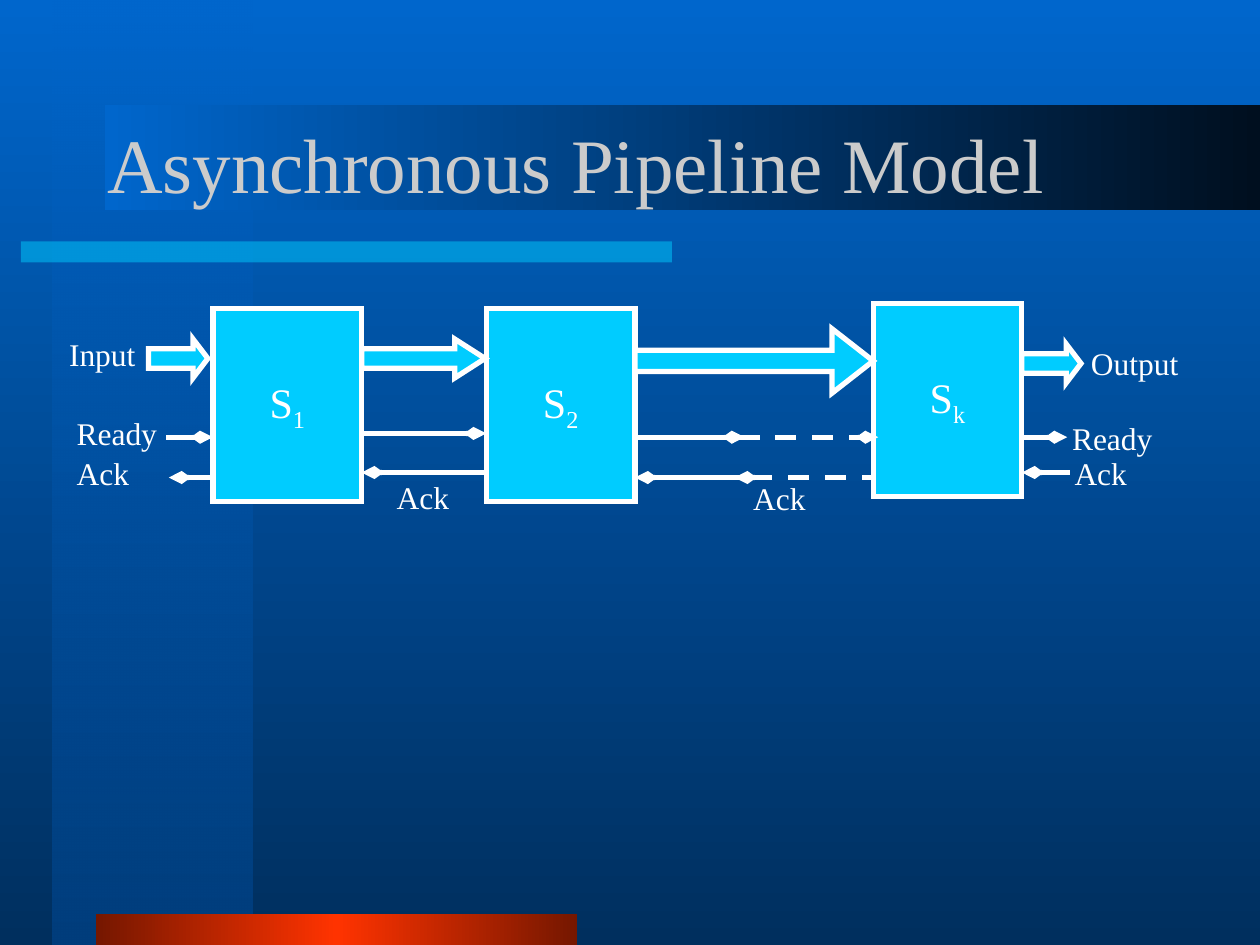
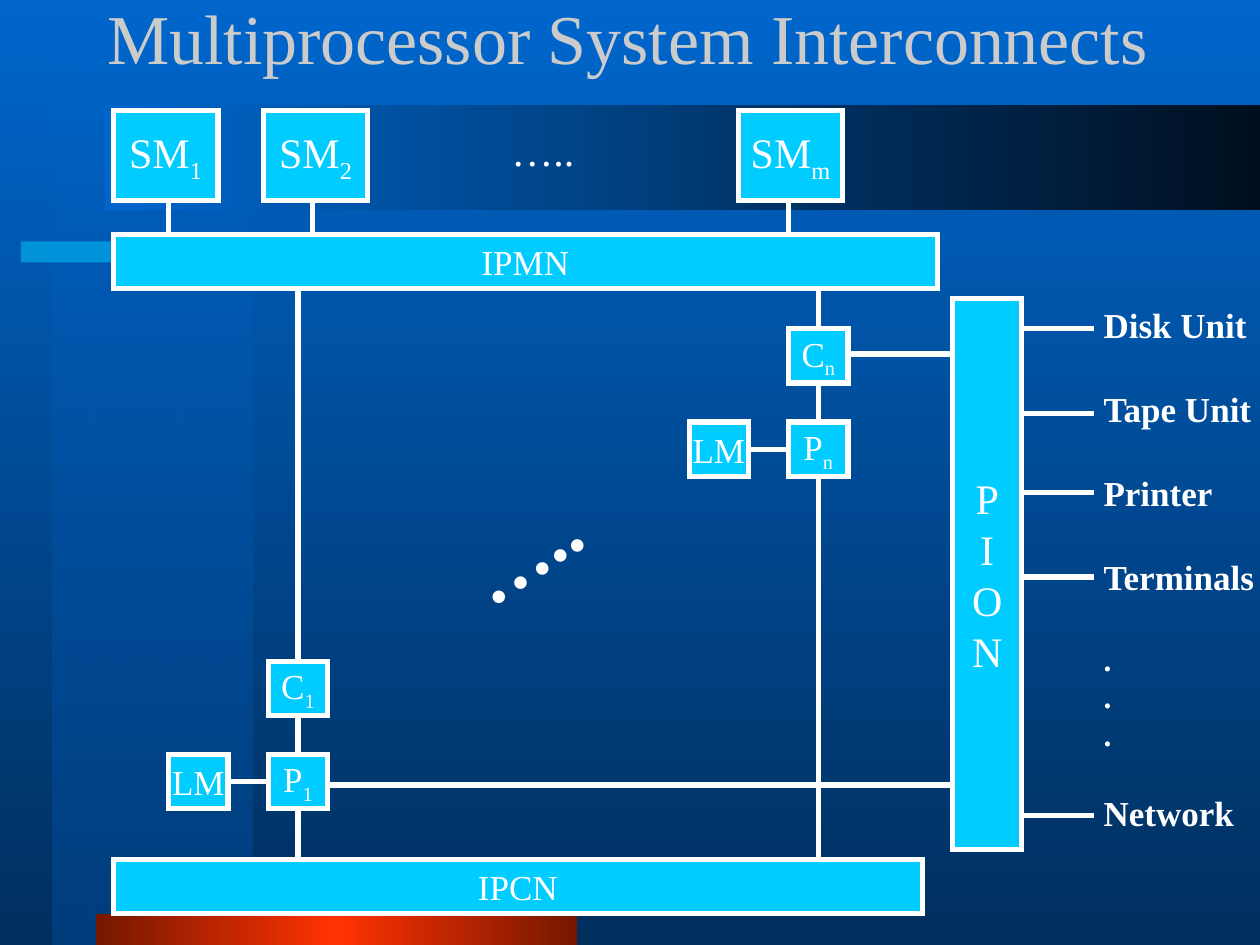
from dataclasses import dataclass
from typing import Any

from lxml import etree
from pptx import Presentation
from pptx import util as u
from pptx.dml.color import RGBColor
from pptx.enum import dml, shapes, text
from pptx.oxml import ns

COLORS = {
    "sky": "0066CC",
    "deep": "002F5E",
    "column": "003E7D",
    "night": "000F1F",
    "cyan": "00CCFF",
    "ember": "751700",
    "flame": "FF3300",
    "title": "CBCBCB",
    "white": "FFFFFF",
}
FONT = "Times New Roman"
SLIDE_W, SLIDE_H = u.Inches(10), u.Inches(7.5)
COLUMNS, ROWS = 100, 75
STROKE = u.Pt(3)


def col(n):
    return round(SLIDE_W * n / COLUMNS)


def row(n):
    return round(SLIDE_H * n / ROWS)


def rgb(name):
    return RGBColor.from_string(COLORS[name])


def sub(parent, tag, **attrs):
    return etree.SubElement(parent, ns.qn(tag), **attrs)


def add_run(p, words, size, color="white", bold=False, subscript=False):
    r = p.add_run()
    r.text = words
    r.font.name, r.font.size, r.font.bold = FONT, u.Pt(size), bold
    r.font.color.rgb = rgb(color)
    if subscript:
        r._r.get_or_add_rPr().set("baseline", "-25000")


def set_gradient(fill, element, stops, angle):
    fill.gradient()
    fill.gradient_angle = angle
    stop_list = next(element.iter(ns.qn("a:gsLst")))
    for old in list(stop_list):
        stop_list.remove(old)
    for position, color, alpha in stops:
        gs = sub(stop_list, "a:gs", pos=str(position * 1000))
        clr = sub(gs, "a:srgbClr", val=COLORS[color])
        if alpha < 100:
            sub(clr, "a:alpha", val=str(alpha * 1000))


def set_stroke(line, dashed=False):
    line.color.rgb = rgb("white")
    line.width = STROKE
    if dashed:
        line.dash_style = dml.MSO_LINE.DASH
    ln = line._get_or_add_ln()
    ln.set("cap", "sq")
    sub(ln, "a:miter", lim="800000")
    return ln


@dataclass
class Region:
    s: Any
    left: float
    top: float

    def shape(self, kind, x, y, w, h):
        sp = self.s.shapes.add_shape(
            kind, col(self.left + x), row(self.top + y), col(w), row(h))
        sp.shadow.inherit = False
        return sp

    def band(self, w, h):
        sp = self.shape(shapes.MSO_SHAPE.RECTANGLE, 0, 0, w, h)
        sp.line.fill.background()
        return sp

    def outlined(self, kind, x, y, w, h):
        sp = self.shape(kind, x, y, w, h)
        sp.fill.solid()
        sp.fill.fore_color.rgb = rgb("cyan")
        set_stroke(sp.line)
        return sp

    def block(self, x, y, w, h, name, index="", size=20):
        sp = self.outlined(shapes.MSO_SHAPE.RECTANGLE, x, y, w, h)
        tf = sp.text_frame
        tf.word_wrap = False
        tf.vertical_anchor = text.MSO_ANCHOR.MIDDLE
        p = tf.paragraphs[0]
        p.alignment = text.PP_ALIGN.CENTER
        if name:
            add_run(p, name, size)
        if index:
            add_run(p, index, size, subscript=True)
        return sp

    def bus_arrow(self, x, y, w, h, shaft, head):
        sp = self.outlined(shapes.MSO_SHAPE.RIGHT_ARROW, x, y, w, h)
        sp.adjustments[0], sp.adjustments[1] = shaft, head

    def wire(self, x1, y1, x2, y2, arrow=None, dashed=False):
        c = self.s.shapes.add_connector(
            shapes.MSO_CONNECTOR.STRAIGHT,
            col(self.left + x1), row(self.top + y1),
            col(self.left + x2), row(self.top + y2))
        ln = set_stroke(c.line, dashed)
        if arrow:
            sub(ln, arrow, type="arrow", w="sm", len="med")
        sub(c.element.spPr, "a:effectLst")

    def label(self, x, y, w, h, words="", size=18, bold=False):
        sp = self.s.shapes.add_textbox(
            col(self.left + x), row(self.top + y), col(w), row(h))
        tf = sp.text_frame
        tf.word_wrap = False
        tf.auto_size = text.MSO_AUTO_SIZE.SHAPE_TO_FIT_TEXT
        if words:
            add_run(tf.paragraphs[0], words, size, bold=bold)
        return sp


def decorate_master(prs, s):
    master = prs.slide_master
    set_gradient(master.background.fill, master.element,
                 [(0, "sky", 100), (100, "deep", 100)], 270)

    side = Region(s, 4.17, 0).band(15.83, ROWS)
    set_gradient(side.fill, side.element,
                 [(0, "sky", 50), (100, "column", 100)], 270)

    rule = Region(s, 1.67, 19.17).band(51.67, 1.67)
    rule.fill.solid()
    rule.fill.fore_color.rgb = rgb("cyan")
    sub(next(rule.element.spPr.iter(ns.qn("a:srgbClr"))), "a:alpha", val="50000")

    footer = Region(s, 7.6, 72.5).band(38.2, 2.5)
    set_gradient(footer.fill, footer.element,
                 [(0, "ember", 100), (50, "flame", 100), (100, "ember", 100)], 180)

    header = Region(s, 8.33, 8.33).band(91.67, 8.33)
    set_gradient(header.fill, header.element,
                 [(0, "night", 100), (100, "sky", 100)], 180)

    for i, sp in enumerate((side, rule, footer, header)):
        master.shapes.element.insert(2 + i, sp.element)


def add_title(s, words, y, size):
    sp = s.shapes.title
    sp.left, sp.top, sp.width, sp.height = col(7.5), row(y), col(85), row(12.5)
    tf = sp.text_frame
    tf.word_wrap = True
    tf.auto_size = text.MSO_AUTO_SIZE.NONE
    tf.vertical_anchor = text.MSO_ANCHOR.MIDDLE
    p = tf.paragraphs[0]
    p.alignment = text.PP_ALIGN.LEFT
    add_run(p, words, size, "title")


def draw_pipeline(box):
    for x, y, index in ((12.4, 0.5, "1"), (34.1, 0.5, "2"), (64.8, 0.1, "k")):
        box.block(x, y, 11.8, 15.3, "S", index, 24)

    ready = ((24.2, 34.1, 10.4, False), (45.9, 54.6, 10.7, False),
             (51.4, 65.2, 10.7, True), (8.9, 12.4, 10.7, False),
             (76.6, 80.2, 10.7, False))
    ack = ((45.9, 54.6, 13.9, False), (53.8, 64.4, 13.9, True),
           (24.2, 34.1, 13.5, False), (8.9, 12.4, 13.9, False),
           (76.6, 80.2, 13.5, False))
    for arrow, signals in (("a:tailEnd", ready), ("a:headEnd", ack)):
        for x1, x2, y, dashed in signals:
            box.wire(x1, y, x2, y, arrow, dashed)

    for x, y in ((0.6, 8.4), (79.6, 8.75)):
        box.label(x, y, 8.5, 4, "Ready")
    for x, y in ((0.6, 11.55), (26, 13.45), (54.3, 13.5), (79.8, 11.55)):
        box.label(x, y, 6.3, 4, "Ack")

    for arrow in ((7.3, 2.9, 4.7, 3.1, 0.5, 0.38), (24.2, 2.9, 9.8, 3.1, 0.5, 0.78),
                  (45.9, 2.1, 18.9, 5.1, 0.33, 0.64), (76.6, 3.3, 4.7, 3.1, 0.5, 0.38)):
        box.bus_arrow(*arrow)
    box.label(0, 2.1, 7.4, 4, "Input")
    box.label(81.1, 2.8, 9.1, 4, "Output")


def draw_memories(box):
    for x, stub, index in ((0, 4.4, "1"), (11.9, 15.8, "2"), (49.6, 53.6, "m")):
        box.block(x, 0, 8.3, 7.1, "SM", index, 24)
        box.wire(stub, 7.4, stub, 9.8)
    box.label(30.6, 0.6, 7, 5, "…..", 24)
    box.block(0, 9.8, 65.4, 4.3, "IPMN")


def draw_processor(box, index, rise, fall, link_row, link_length):
    w, h, x, y = 4.7, 4.3, 7.9, 7.4
    middle = x + w / 2
    box.wire(middle, 0, middle, -rise)
    box.wire(middle, h, middle, y)
    box.wire(middle, y + h, middle, fall)
    box.wire(w, y + h / 2, x, y + h / 2)
    box.wire(x + w, link_row, x + w + link_length, link_row)
    box.block(x, 0, w, h, "C", index)
    box.block(x, y, w, h, "P", index)
    box.block(0, y, w, h, "LM")


def draw_devices(box):
    bar = box.block(0, 0, 5.5, 43.7, "")
    tf = bar.text_frame
    for i, letter in enumerate("PION"):
        p = tf.add_paragraph() if i else tf.paragraphs[0]
        p.alignment = text.PP_ALIGN.CENTER
        p.line_spacing = u.Pt(29)
        add_run(p, letter, 24)

    for y in (2.4, 9.1, 15.4, 22.1, 41):
        box.wire(5.5, y, 11, y)

    tf = box.label(11, -0.1, 14.2, 43).text_frame
    devices = (("Disk Unit", 20, 0), ("Tape Unit", 20, 24), ("Printer", 20, 24),
               ("Terminals", 20, 24), (".", 18, 24), (".", 18, 0), (".", 18, 0),
               ("Network", 20, 22))
    for i, (words, size, gap) in enumerate(devices):
        p = tf.add_paragraph() if i else tf.paragraphs[0]
        p.line_spacing = u.Pt(size * 1.2)
        p.space_before = u.Pt(gap)
        add_run(p, words, size, bold=True)


def draw_interconnects(s):
    draw_memories(Region(s, 9, 8.8))
    draw_processor(Region(s, 13.4, 52.5), "1", 29.6, 15.7, 9.8, 49.6)
    draw_processor(Region(s, 54.7, 26.1), "n", 3.2, 42.1, 2, 8.3)
    Region(s, 9, 68.2).block(0, 0, 64.2, 4.3, "IPCN")
    draw_devices(Region(s, 75.6, 23.7))
    dots = Region(s, 35.9, 39.4).label(0, 0, 11.5, 8.4, "…..", 44, True)
    dots.text_frame.vertical_anchor = text.MSO_ANCHOR.MIDDLE
    dots.rotation = 326.8


def main():
    prs = Presentation()
    prs.slide_width, prs.slide_height = SLIDE_W, SLIDE_H
    title_only = prs.slide_layouts[5]

    s = prs.slides.add_slide(title_only)
    decorate_master(prs, s)
    add_title(s, "Asynchronous Pipeline Model", 6.7, 44)
    draw_pipeline(Region(s, 4.5, 24))

    s = prs.slides.add_slide(title_only)
    add_title(s, "Multiprocessor System Interconnects", -3.35, 40)
    draw_interconnects(s)

    prs.save("out.pptx")


if __name__ == "__main__":
    main()
